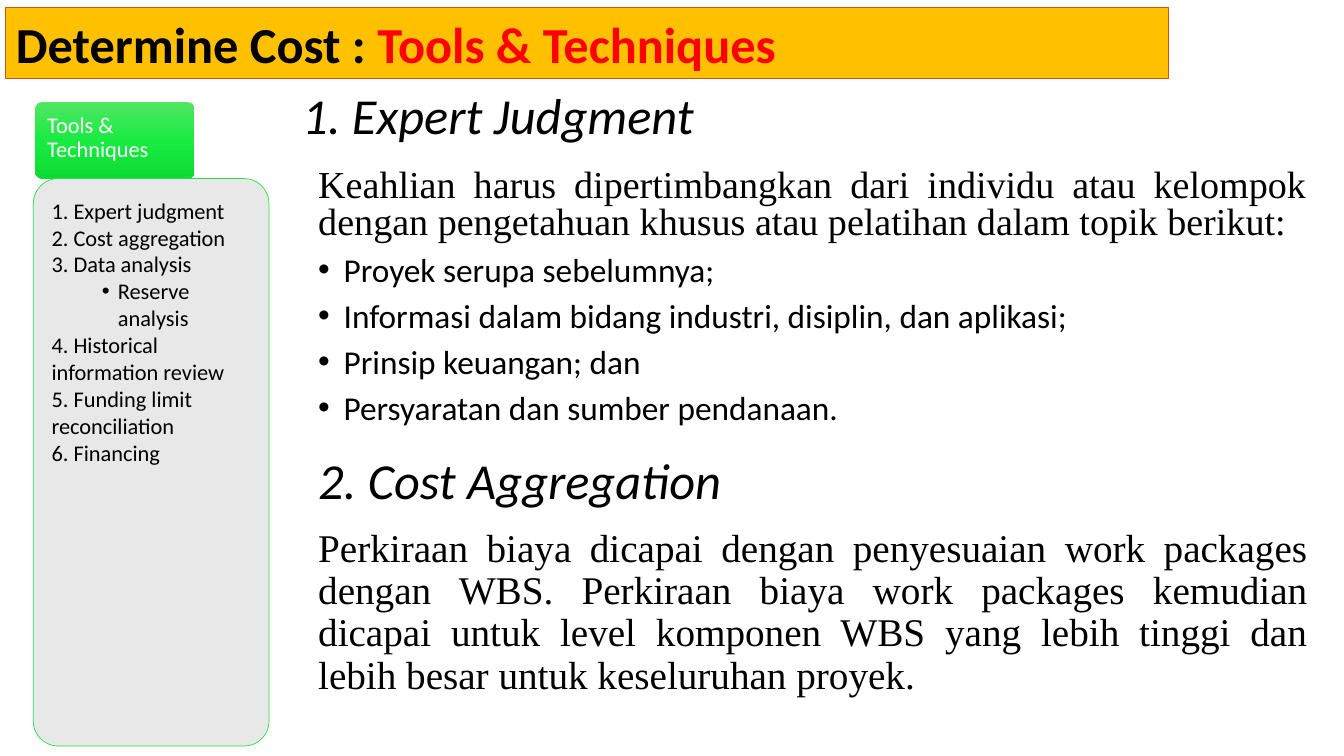
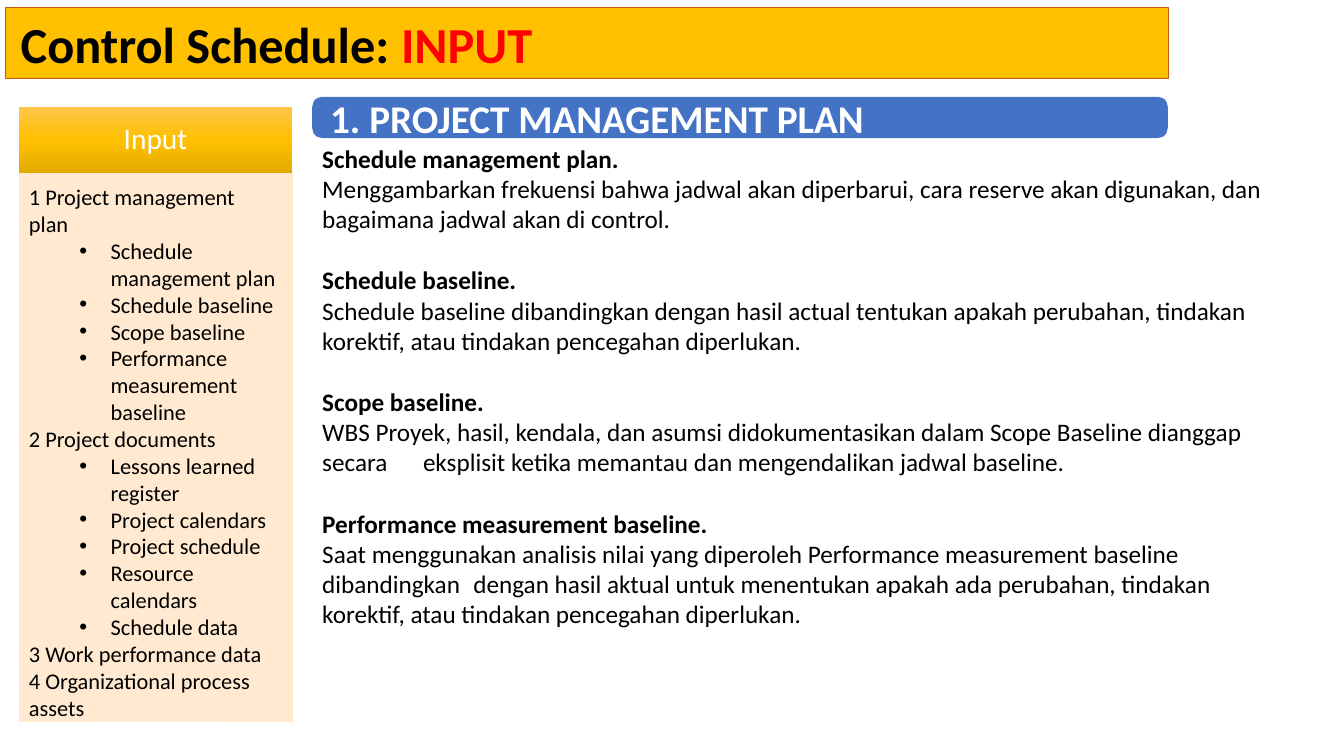
"""Build two project management slides: cost tools and schedule control input."""
from copy import deepcopy
from dataclasses import dataclass, replace

from lxml.etree import SubElement
from pptx import Presentation
from pptx.dml.color import RGBColor
from pptx.enum.shapes import MSO_SHAPE
from pptx.enum.text import MSO_ANCHOR, MSO_AUTO_SIZE, PP_ALIGN
from pptx.oxml.ns import qn
from pptx.util import Cm, Pt


@dataclass(frozen=True)
class Theme:
    sans: str = "Calibri"
    serif: str = "Times New Roman"
    black: str = "000000"
    white: str = "FFFFFF"
    accent: str = "FF0000"
    band: str = "FFC000"
    band_edge: str = "C55A11"
    banner: str = "4472C4"
    green_fade: tuple = ("51E663", "19EB42", "0CDB34")
    green_edge: str = "23E148"
    grey_panel: str = "E7E6E6"
    gold_fade: tuple = ("FFC64B", "FFC000", "E3AB00")
    cream_panel: str = "FFE8CC"
    title_size: float = 36
    banner_size: float = 28
    prose_size: float = 28
    intro_size: float = 27.2
    list_size: float = 23.8
    header_size: float = 21
    detail_size: float = 18
    sidebar_size: float = 16


THEME = Theme()


@dataclass(frozen=True)
class Style:
    size: float
    color: str = THEME.black
    font: str = THEME.sans
    bold: bool = False
    italic: bool = False
    align: PP_ALIGN = PP_ALIGN.LEFT
    spacing: float = 1.0
    before: float = 0
    margin: float = 0
    hang: float = 0
    bullet: bool = False
    tabs: tuple = ()


TITLE = Style(THEME.title_size, bold=True)
SUBHEAD = Style(THEME.title_size, italic=True, spacing=0.9)
PROSE = Style(THEME.prose_size, font=THEME.serif, align=PP_ALIGN.JUSTIFY, spacing=0.9)
INTRO = replace(PROSE, size=THEME.intro_size, spacing=0.8)
POINT = Style(THEME.list_size, align=PP_ALIGN.JUSTIFY, spacing=0.8, before=10,
              margin=0.64, hang=0.64, bullet=True)
ENTRY = Style(THEME.sidebar_size)
COST_SUBENTRY = replace(ENTRY, margin=1.67, hang=0.4, bullet=True)
INPUT_SUBENTRY = replace(ENTRY, margin=2.06, hang=0.79, bullet=True)
COST_HEADER = Style(THEME.sidebar_size, THEME.white, spacing=0.9)
INPUT_HEADER = Style(THEME.header_size, THEME.white, align=PP_ALIGN.CENTER, spacing=0.9)
BANNER = Style(THEME.banner_size, THEME.white, bold=True)
TERM = Style(THEME.detail_size, bold=True, before=22)
DETAIL = Style(THEME.detail_size, tabs=(2.54, 5.08))


def rgb(color):
    return RGBColor.from_string(color)


def format_paragraph(paragraph, style, first):
    paragraph.alignment = style.align
    paragraph.line_spacing = style.spacing
    paragraph.space_before = Pt(0 if first else style.before)
    paragraph.space_after = Pt(0)
    properties = paragraph._p.get_or_add_pPr()
    properties.set("marL", str(Cm(style.margin)))
    properties.set("indent", str(-Cm(style.hang)))
    if style.bullet:
        SubElement(properties, qn("a:buFont"), typeface="Arial")
        SubElement(properties, qn("a:buChar"), char="•")
    else:
        SubElement(properties, qn("a:buNone"))
    if style.tabs:
        stops = SubElement(properties, qn("a:tabLst"))
        for stop in style.tabs:
            SubElement(stops, qn("a:tab"), pos=str(Cm(stop)), algn="l")
    font = paragraph.font
    font.name, font.size = style.font, Pt(style.size)
    font.bold, font.italic = style.bold, style.italic
    font.color.rgb = rgb(style.color)


def write(shape, lines, insets=(0.25, 0.13, 0.25, 0.13), anchor=MSO_ANCHOR.TOP):
    frame = shape.text_frame
    frame.word_wrap = True
    frame.auto_size = MSO_AUTO_SIZE.NONE
    frame.vertical_anchor = anchor
    (frame.margin_left, frame.margin_top,
     frame.margin_right, frame.margin_bottom) = map(Cm, insets)
    for index, (text, style) in enumerate(lines):
        paragraph = frame.add_paragraph() if index else frame.paragraphs[0]
        format_paragraph(paragraph, style, first=index == 0)
        paragraph.add_run().text = text


def place(shape, box):
    shape.left, shape.top, shape.width, shape.height = map(Cm, box)


def paint(shape, fill, edge=None, width=0.5, opacity=None):
    if isinstance(fill, tuple):
        shape.fill.gradient()
        shape.fill.gradient_angle = 270
        stops = shape._element.spPr.find(qn("a:gradFill")).find(qn("a:gsLst"))
        stops.insert(1, deepcopy(stops[0]))
        for index, (stop, color) in enumerate(zip(shape.fill.gradient_stops, fill)):
            stop.color.rgb = rgb(color)
            stop.position = index / 2
    else:
        shape.fill.solid()
        shape.fill.fore_color.rgb = rgb(fill)
        if opacity:
            color = shape._element.spPr.find(qn("a:solidFill"))[0]
            SubElement(color, qn("a:alpha"), val=str(opacity * 1000))
    if edge:
        shape.line.color.rgb = rgb(edge)
        shape.line.width = Pt(width)
    else:
        shape.line.fill.background()


def add_panel(slide, box, lines, insets, fill, edge=None, radius=0,
              opacity=None, anchor=MSO_ANCHOR.TOP):
    kind = MSO_SHAPE.ROUNDED_RECTANGLE if radius else MSO_SHAPE.RECTANGLE
    panel = slide.shapes.add_shape(kind, *map(Cm, box))
    panel.shadow.inherit = False
    if radius:
        panel.adjustments[0] = radius / min(box[2:])
    paint(panel, fill, edge, opacity=opacity)
    corner = 0.29 * radius
    write(panel, lines, [max(0, inset - corner) for inset in insets], anchor)


def add_text(slide, box, lines, anchor=MSO_ANCHOR.TOP):
    write(slide.shapes.add_textbox(*map(Cm, box)), lines, anchor=anchor)


def fill_body(slide, box, lines):
    body = slide.placeholders[1]
    place(body, box)
    write(body, lines)


def add_titled_slide(deck, topic, focus, indent):
    slide = deck.slides.add_slide(deck.slide_layouts[1])
    title = slide.shapes.title
    place(title, (0.15, 0.2, 29.29, 1.78))
    paint(title, THEME.band, THEME.band_edge, width=0.75)
    write(title, [(topic, TITLE)], (indent, 0.13, 0.25, 0.13), MSO_ANCHOR.MIDDLE)
    highlight = title.text_frame.paragraphs[0].add_run()
    highlight.text = focus
    highlight.font.color.rgb = rgb(THEME.accent)
    return slide


def build_cost_slide(deck):
    slide = add_titled_slide(deck, "Determine Cost : ", "Tools & Techniques", 0.25)
    add_panel(slide, (0.89, 2.57, 4.01, 1.93), [("Tools & Techniques", COST_HEADER)],
              (0.3, 0.3, 0.3, 0.3), THEME.green_fade, radius=0.18)
    add_panel(slide, (0.84, 4.5, 5.94, 14.3), [
        ("1. Expert judgment", ENTRY),
        ("2. Cost aggregation", ENTRY),
        ("3. Data analysis", ENTRY),
        ("Reserve analysis", COST_SUBENTRY),
        ("4. Historical information review", ENTRY),
        ("5. Funding limit reconciliation", ENTRY),
        ("6. Financing", ENTRY),
    ], (0.46,) * 4, THEME.grey_panel, THEME.green_edge, radius=0.63, opacity=90)
    add_text(slide, (7.37, 2.24, 21.16, 1.55),
             [("1. Expert Judgment", replace(SUBHEAD, spacing=0.8))], MSO_ANCHOR.MIDDLE)
    fill_body(slide, (7.77, 4.14, 25.43, 6.88), [
        ("Keahlian harus dipertimbangkan dari individu atau kelompok dengan "
         "pengetahuan khusus atau pelatihan dalam topik berikut:", INTRO),
        ("Proyek serupa sebelumnya;", POINT),
        ("Informasi dalam bidang industri, disiplin, dan aplikasi;", POINT),
        ("Prinsip keuangan; dan", POINT),
        ("Persyaratan dan sumber pendanaan.", POINT),
    ])
    add_text(slide, (7.77, 11.4, 21.16, 1.55),
             [("2. Cost Aggregation", SUBHEAD)], MSO_ANCHOR.MIDDLE)
    add_text(slide, (7.77, 13.18, 25.43, 5.03), [
        ("Perkiraan biaya dicapai dengan penyesuaian work packages dengan WBS. "
         "Perkiraan biaya work packages kemudian dicapai untuk level komponen WBS "
         "yang lebih tinggi dan lebih besar untuk keseluruhan proyek.", PROSE),
    ])


def build_schedule_slide(deck):
    slide = add_titled_slide(deck, "Control Schedule: ", "INPUT", 0.37)
    add_panel(slide, (0.48, 2.69, 6.88, 1.68), [("Input", INPUT_HEADER)],
              (0.41, 0.23, 0.41, 0.23), THEME.gold_fade, anchor=MSO_ANCHOR.MIDDLE)
    add_panel(slide, (0.48, 4.37, 6.88, 13.8), [
        ("1 Project management plan", ENTRY),
        ("Schedule management plan", INPUT_SUBENTRY),
        ("Schedule baseline", INPUT_SUBENTRY),
        ("Scope baseline", INPUT_SUBENTRY),
        ("Performance measurement baseline", INPUT_SUBENTRY),
        ("2 Project documents", ENTRY),
        ("Lessons learned register", INPUT_SUBENTRY),
        ("Project calendars", INPUT_SUBENTRY),
        ("Project schedule", INPUT_SUBENTRY),
        ("Resource calendars", INPUT_SUBENTRY),
        ("Schedule data", INPUT_SUBENTRY),
        ("3 Work performance data", ENTRY),
        ("4 Organizational process assets", ENTRY),
    ], (0.25, 0.25, 0.33, 0.38), THEME.cream_panel, THEME.cream_panel, opacity=90)
    add_panel(slide, (7.87, 2.44, 21.56, 1.04), [("1. PROJECT MANAGEMENT PLAN", BANNER)],
              (0.45, 0, 0.45, 0), THEME.banner, radius=0.25, anchor=MSO_ANCHOR.MIDDLE)
    fill_body(slide, (7.87, 3.48, 24.66, 12.57), [
        ("Schedule management plan.", TERM),
        ("Menggambarkan frekuensi bahwa jadwal akan diperbarui, cara reserve akan "
         "digunakan, dan bagaimana jadwal akan di control.", DETAIL),
        ("Schedule baseline.", TERM),
        ("Schedule baseline dibandingkan dengan hasil actual tentukan apakah perubahan, "
         "tindakan korektif, atau tindakan pencegahan diperlukan.", DETAIL),
        ("Scope baseline.", TERM),
        ("WBS Proyek, hasil, kendala, dan asumsi didokumentasikan dalam Scope Baseline "
         "dianggap secara \teksplisit ketika memantau dan mengendalikan jadwal baseline.",
         DETAIL),
        ("Performance measurement baseline.", TERM),
        ("Saat menggunakan analisis nilai yang diperoleh Performance measurement baseline "
         "dibandingkan \tdengan hasil aktual untuk menentukan apakah ada perubahan, "
         "tindakan korektif, atau tindakan pencegahan diperlukan.", DETAIL),
    ])


def main():
    deck = Presentation()
    deck.slide_width, deck.slide_height = Cm(33.87), Cm(19.05)
    build_cost_slide(deck)
    build_schedule_slide(deck)
    deck.save("out.pptx")


if __name__ == "__main__":
    main()
